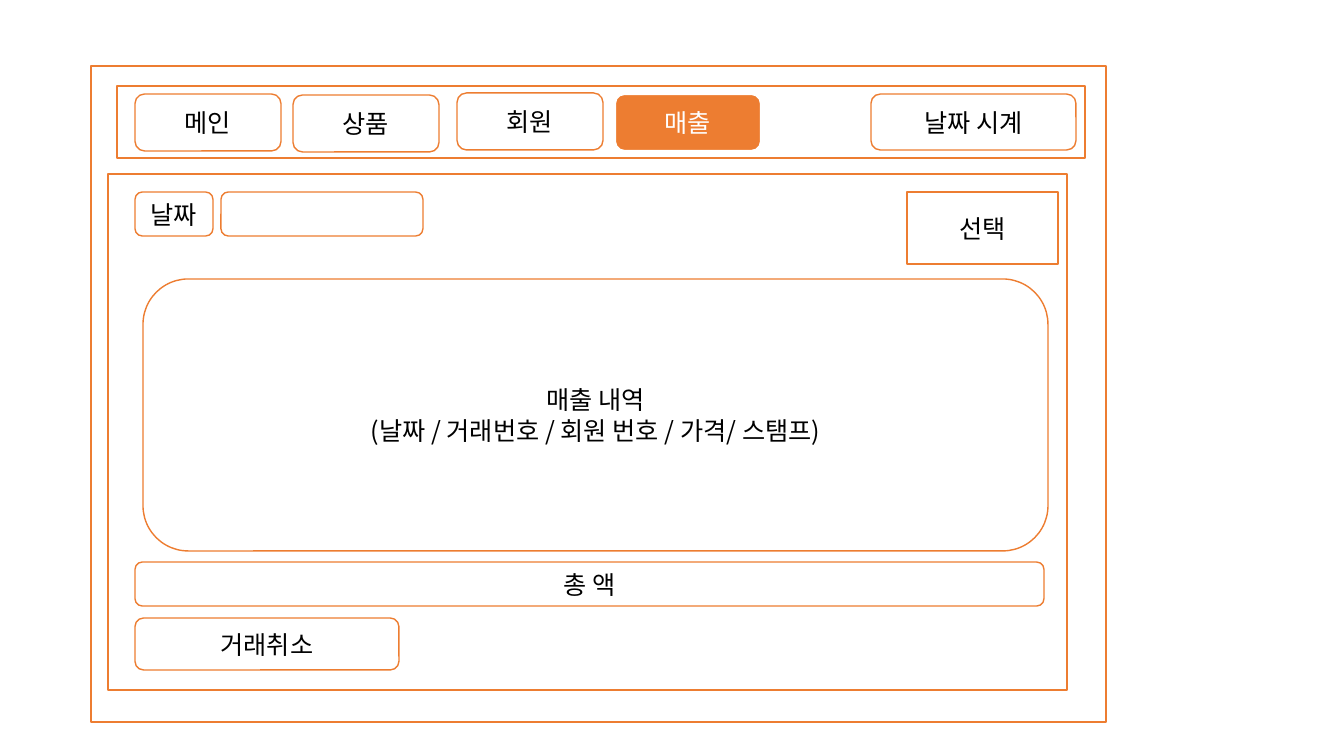
"""Build the sales screen wireframe slide."""
from dataclasses import dataclass

from lxml.etree import SubElement
from pptx import Presentation
from pptx.dml.color import RGBColor as Rgb
from pptx.enum.shapes import MSO_SHAPE as Kind
from pptx.enum.text import MSO_ANCHOR as Anchor, PP_ALIGN as Align
from pptx.oxml.ns import qn
from pptx.util import Emu, Pt

SCALE = 914400 / 100.8
FONT = "Noto Sans CJK KR"
HUES = {"line": "ED7D31", "paper": "FFFFFF", "ink": "000000"}


@dataclass(frozen=True)
class Box:
    """One outlined box, measured in pixels."""
    left: int
    top: int
    width: int
    height: int
    text: str = ""
    form: Kind = Kind.ROUNDED_RECTANGLE
    fill: str = "paper"
    edge: str = "line"
    ink: str = "ink"
    weight: float = 1


def px(size: int) -> Emu:
    """Turn pixels into EMU."""
    return Emu(round(size * SCALE))


def hue(name: str) -> Rgb:
    """Look up a colour."""
    return Rgb.from_string(HUES[name])


def write(frame, box: Box) -> None:
    """Put centred text in a box."""
    frame.text = box.text
    frame.word_wrap = True
    frame.vertical_anchor = Anchor.MIDDLE
    for para in frame.paragraphs:
        para.alignment = Align.CENTER
        for run in para.runs:
            run.font.size = Pt(18)
            run.font.color.rgb = hue(box.ink)
            run.font.name = FONT
            SubElement(run._r.get_or_add_rPr(), qn("a:ea"), typeface=FONT)


def draw(slide, box: Box) -> None:
    """Draw a box on the slide."""
    area = map(px, (box.left, box.top, box.width, box.height))
    shape = slide.shapes.add_shape(box.form, *area)
    shape.shadow.inherit = False
    shape.fill.solid()
    shape.fill.fore_color.rgb = hue(box.fill)
    shape.line.color.rgb = hue(box.edge)
    shape.line.width = Pt(box.weight)
    if box.text:
        write(shape.text_frame, box)


def tab(left: int, top: int, text: str, **style) -> Box:
    """Make a menu tab."""
    return Box(left, top, 146, 57, text, **style)


PANELS = [
    Box(91, 66, 1015, 656, form=Kind.RECTANGLE),
    Box(117, 86, 968, 72, form=Kind.RECTANGLE),
    Box(108, 174, 959, 516, form=Kind.RECTANGLE),
]
MENU = [
    tab(135, 94, "메인"),
    tab(293, 95, "상품"),
    tab(457, 93, "회원"),
    tab(615, 94, "매출", fill="line", edge="paper", ink="paper", weight=1.5),
    Box(871, 94, 205, 56, "날짜 시계"),
]
SALES = [
    Box(135, 192, 78, 44, "날짜"),
    Box(221, 192, 202, 44),
    Box(907, 192, 151, 72, "선택", Kind.RECTANGLE),
    Box(143, 279, 905, 272,
        "매출 내역\n(날짜 / 거래번호 / 회원 번호 / 가격/ 스탬프)"),
    Box(135, 562, 909, 44, "총 액"),
    Box(135, 618, 264, 52, "거래취소"),
]

deck = Presentation()
deck.slide_width, deck.slide_height = px(1344), px(756)
page = deck.slides.add_slide(deck.slide_layouts[6])
for item in PANELS + MENU + SALES:
    draw(page, item)
deck.save("out.pptx")
